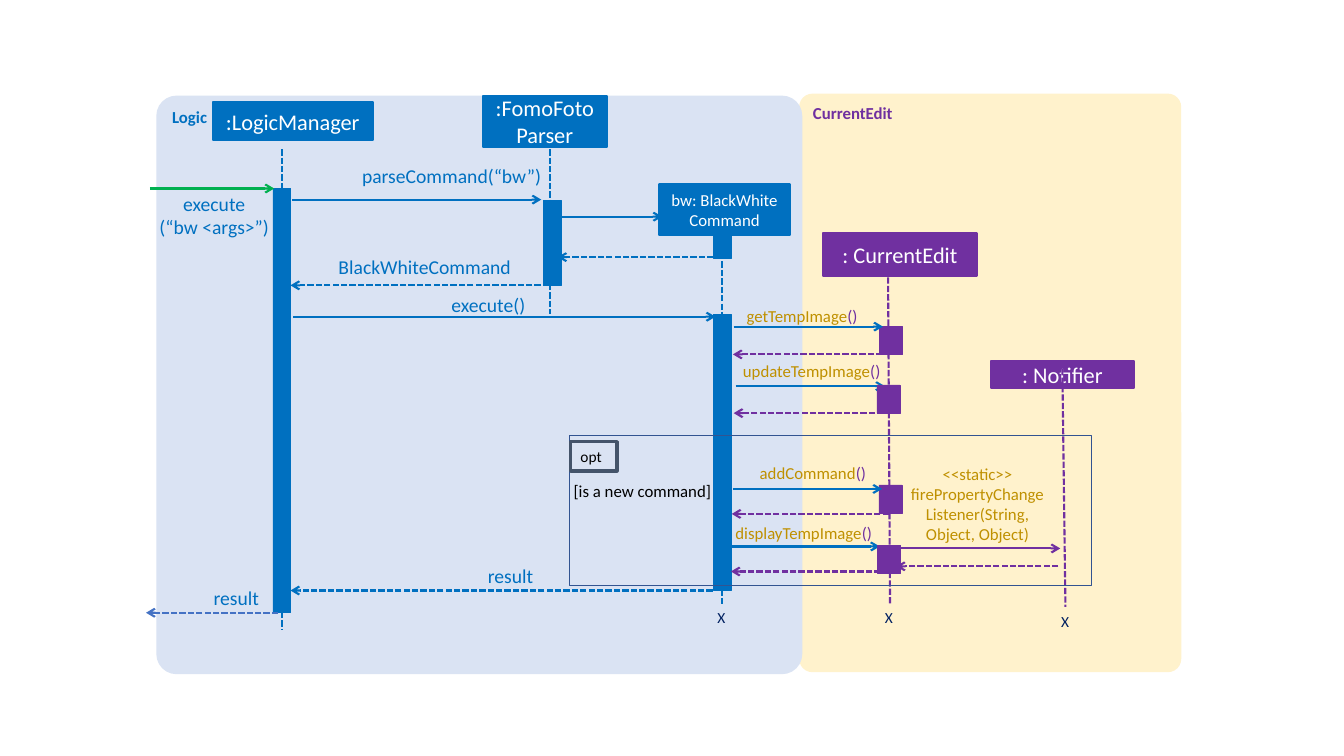
from lxml import etree
from pptx import Presentation
from pptx.dml.color import RGBColor
from pptx.enum.dml import MSO_LINE
from pptx.enum.shapes import MSO_CONNECTOR, MSO_SHAPE
from pptx.enum.text import MSO_ANCHOR, MSO_AUTO_SIZE, PP_ALIGN
from pptx.oxml.ns import qn
from pptx.util import Cm, Pt

RECT, ROUNDED = MSO_SHAPE.RECTANGLE, MSO_SHAPE.ROUNDED_RECTANGLE
STRAIGHT, DASH = MSO_CONNECTOR.STRAIGHT, MSO_LINE.SQUARE_DOT
LEFT, CENTER, RIGHT = PP_ALIGN.LEFT, PP_ALIGN.CENTER, PP_ALIGN.RIGHT
TOP, MIDDLE = MSO_ANCHOR.TOP, MSO_ANCHOR.MIDDLE
GROW = MSO_AUTO_SIZE.SHAPE_TO_FIT_TEXT

FONT = "Calibri"
BLUE, PURPLE, GOLD, GREEN = "0070C0", "7030A0", "BF9000", "00B050"
PALE_BLUE, CREAM, EXIT_BLUE = "DAE3F3", "FFF2CC", "4472C4"
FRAME, SLATE, NAVY = "325491", "44546A", "002060"
WHITE, BLACK = "FFFFFF", "000000"

BLUE_BAR_WIDTH = 0.45
PURPLE_BAR = (0.58, 0.71)
LINE_14, LINE_12 = 0.61, 0.51


def rgb(value):
    return RGBColor.from_string(value)


def add_text(p, text, size, color, bold=False):
    """Add one run per line of text, with line breaks between them."""
    for i, line in enumerate(text.split("\n")):
        if i:
            p.add_line_break()
        r = p.add_run()
        r.text = line
        r.font.name = FONT
        r.font.size = Pt(size)
        r.font.bold = bold
        r.font.color.rgb = rgb(color)


def box(s, x, y, w, h, fill=None, line=None, width=1.5, kind=RECT):
    sp = s.shapes.add_shape(kind, Cm(x), Cm(y), Cm(w), Cm(h))
    sp.shadow.inherit = False
    if fill:
        sp.fill.solid()
        sp.fill.fore_color.rgb = rgb(fill)
    else:
        sp.fill.background()
    if line:
        sp.line.color.rgb = rgb(line)
        sp.line.width = Pt(width)
    else:
        sp.line.fill.background()
    return sp


def box_text(sp, text, size, color, align=LEFT, anchor=TOP, bold=False):
    tf = sp.text_frame
    tf.word_wrap = True
    tf.vertical_anchor = anchor
    p = tf.paragraphs[0]
    p.alignment = align
    add_text(p, text, size, color, bold)


def panel(s, x, y, w, h, fill, title, color):
    sp = box(s, x, y, w, h, fill, kind=ROUNDED)
    sp.adjustments[0] = 0.035
    box_text(sp, title, 12, color, bold=True)


def head(s, x, y, w, h, color, name, size=16):
    sp = box(s, x, y, w, h, color, color)
    box_text(sp, name, size, WHITE, CENTER, MIDDLE)


def bar(s, x, y, w, h, color):
    box(s, x, y, w, h, color, color, 0.5)


def line(s, x1, y1, x2, y2, color, dashed=False):
    c = s.shapes.add_connector(STRAIGHT, Cm(x1), Cm(y1), Cm(x2), Cm(y2))
    c.line.color.rgb = rgb(color)
    c.line.width = Pt(1.5)
    if dashed:
        c.line.dash_style = DASH
    etree.SubElement(c._element.spPr, qn("a:effectLst"))
    return c


def message(s, x1, x2, y, color, dashed=False):
    """Horizontal arrow from x1 to x2; replies are dashed."""
    ln = line(s, x1, y, x2, y, color, dashed).line._get_or_add_ln()
    etree.SubElement(ln, qn("a:tailEnd"), type="arrow")


def label(s, x, y, w, h, paragraphs, size, align=CENTER):
    """Text box without insets; each paragraph is a list of (text, color)."""
    tf = s.shapes.add_textbox(Cm(x), Cm(y), Cm(w), Cm(h)).text_frame
    tf.word_wrap = True
    tf.auto_size = GROW
    tf.margin_left = tf.margin_right = tf.margin_top = tf.margin_bottom = Cm(0)
    for i, runs in enumerate(paragraphs):
        p = tf.add_paragraph() if i else tf.paragraphs[0]
        p.alignment = align
        for text, color in runs:
            add_text(p, text, size, color)


def end_mark(s, x, y):
    tf = s.shapes.add_textbox(Cm(x), Cm(y), Cm(0.71), Cm(0.74)).text_frame
    tf.word_wrap = False
    tf.auto_size = GROW
    add_text(tf.paragraphs[0], "X", 11, NAVY)


def participants(s):
    panel(s, 20.14, 2.36, 9.63, 14.58, CREAM, "CurrentEdit", PURPLE)
    panel(s, 3.94, 2.41, 16.28, 14.58, PALE_BLUE, "Logic", BLUE)

    head(s, 5.36, 2.57, 4.04, 0.97, BLUE, ":LogicManager")
    head(s, 12.17, 2.41, 3.12, 1.3, BLUE, ":FomoFotoParser")
    head(s, 16.61, 4.65, 3.3, 1.27, BLUE, "bw: BlackWhite\nCommand", 12)
    head(s, 20.75, 5.87, 3.86, 1.09, PURPLE, ": CurrentEdit")
    head(s, 24.97, 9.09, 3.61, 0.69, PURPLE, ": Notifier")

    for x1, y1, x2, y2, color in [
        (7.11, 3.76, 7.11, 15.85, BLUE),
        (13.87, 3.76, 13.87, 7.9, BLUE),
        (18.19, 5.74, 18.19, 15.21, BLUE),
        (22.38, 6.99, 22.43, 15.21, PURPLE),
        (26.77, 9.09, 26.85, 15.29, PURPLE),
    ]:
        line(s, x1, y1, x2, y2, color, dashed=True)
    for x, y in [(17.83, 15.21), (22.05, 15.21), (26.49, 15.29)]:
        end_mark(s, x, y)

    for x, y, h in [(6.88, 4.75, 10.69), (13.69, 5.05, 2.13),
                    (17.98, 5.74, 0.76), (17.98, 7.92, 6.96)]:
        bar(s, x, y, BLUE_BAR_WIDTH, h, BLUE)
    for x, y in [(22.17, 8.23), (22.15, 12.22)]:
        bar(s, x, y, *PURPLE_BAR, PURPLE)


def logic_messages(s):
    message(s, 3.78, 6.91, 4.75, GREEN)
    for x1, x2, y in [(7.37, 13.64, 5.03), (14.12, 16.69, 5.46), (7.39, 18.03, 7.98)]:
        message(s, x1, x2, y, BLUE)
    for x1, x2, y in [(18.19, 14.05, 6.48), (13.84, 7.32, 7.19), (17.96, 7.32, 14.88)]:
        message(s, x1, x2, y, BLUE, dashed=True)
    message(s, 7.01, 3.68, 15.44, EXIT_BLUE, dashed=True)

    label(s, 3.76, 4.83, 3.28, 1.19,
          [[("execute", BLUE)], [("(“bw <args>”)", BLUE)]], 14)
    for x, y, w, text, align in [
        (7.49, 4.14, 6.15, "parseCommand(“bw”)", RIGHT),
        (8.43, 6.43, 4.55, "BlackWhiteCommand", CENTER),
        (10.85, 7.39, 2.39, "execute()", RIGHT),
        (11.71, 14.2, 1.73, "result", RIGHT),
        (4.42, 14.76, 2.11, "result", RIGHT),
    ]:
        label(s, x, y, w, LINE_14, [[(text, BLUE)]], 14, align)


def edit_messages(s):
    for x1, x2, y in [(18.49, 22.25, 8.23), (18.54, 22.3, 9.73),
                      (18.47, 22.23, 12.32), (18.39, 22.17, 13.77)]:
        message(s, x1, x2, y, BLUE)
    for x1, x2, y in [(22.45, 18.47, 8.93), (22.48, 18.49, 10.41),
                      (22.4, 18.44, 12.95), (22.4, 18.42, 14.4),
                      (26.67, 22.58, 14.27)]:
        message(s, x1, x2, y, PURPLE, dashed=True)
    message(s, 22.63, 26.72, 13.82, PURPLE)
    for x, y in [(22.1, 9.7), (22.12, 13.74)]:
        bar(s, x, y, *PURPLE_BAR, PURPLE)

    for x, y, w, method, align in [
        (17.65, 7.7, 3.96, "getTempImage", RIGHT),
        (18.59, 9.09, 3.73, "updateTempImage", CENTER),
        (18.62, 11.66, 3.73, "addCommand", CENTER),
        (18.39, 13.16, 3.73, "displayTempImage", CENTER),
    ]:
        label(s, x, y, w, LINE_12, [[(method, GOLD), ("()", PURPLE)]], 12, align)
    label(s, 22.91, 11.68, 3.45, 2.06,
          [[("<<static>>", GOLD)],
           [("firePropertyChangeListener(String, Object, Object)", GOLD)]], 12)


def optional_frame(s):
    box(s, 14.35, 10.97, 13.16, 3.78, line=FRAME, width=1)
    tag = box(s, 14.38, 11.13, 1.17, 0.74, line=SLATE, width=2.25)
    box_text(tag, "opt", 11, BLACK)
    label(s, 14.3, 12.12, 3.78, LINE_12, [[("[is a new command]", BLACK)]], 12)


def main():
    prs = Presentation()
    prs.slide_width, prs.slide_height = Cm(33.87), Cm(19.05)
    s = prs.slides.add_slide(prs.slide_layouts[6])
    participants(s)
    logic_messages(s)
    edit_messages(s)
    optional_frame(s)
    prs.save("out.pptx")


if __name__ == "__main__":
    main()
